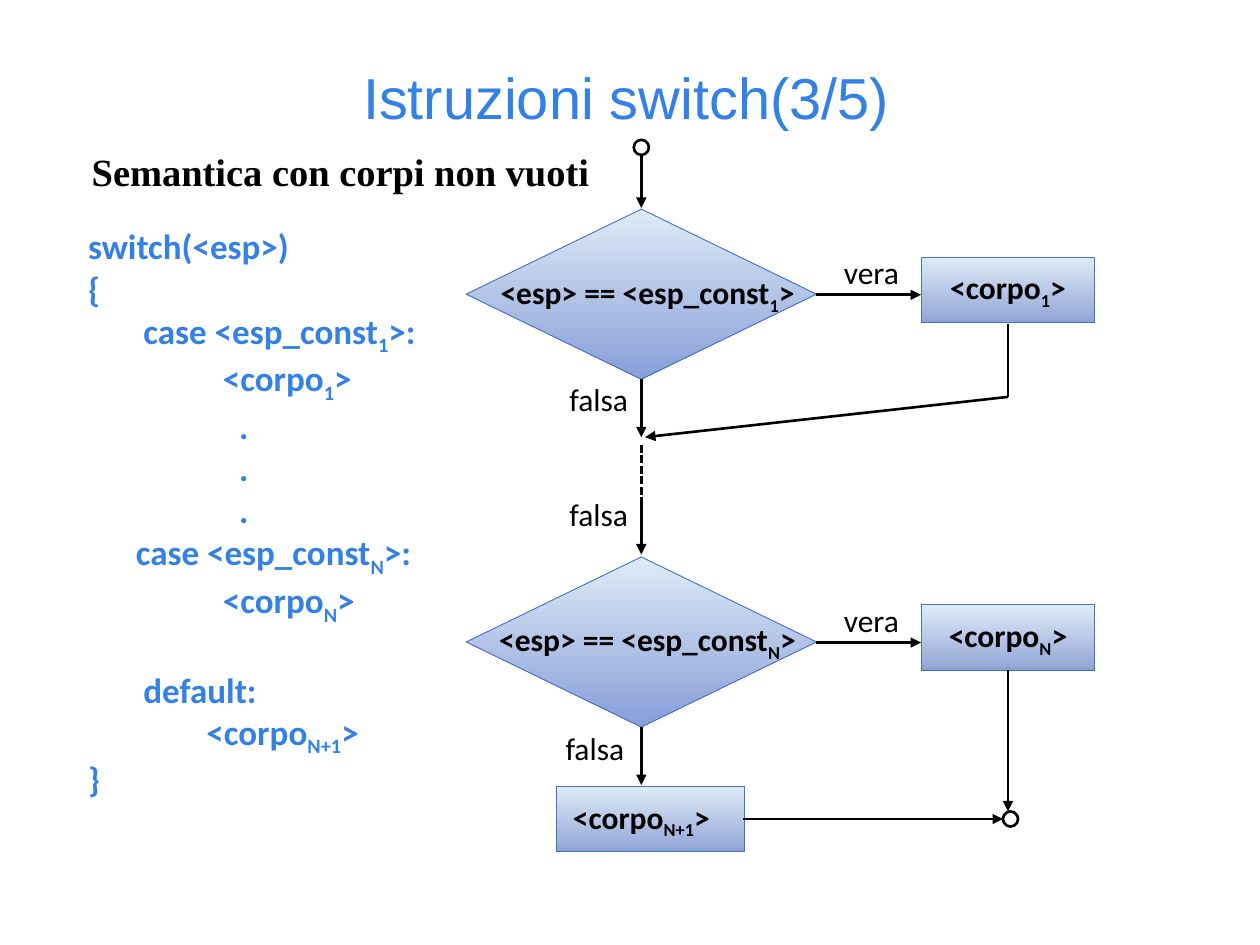
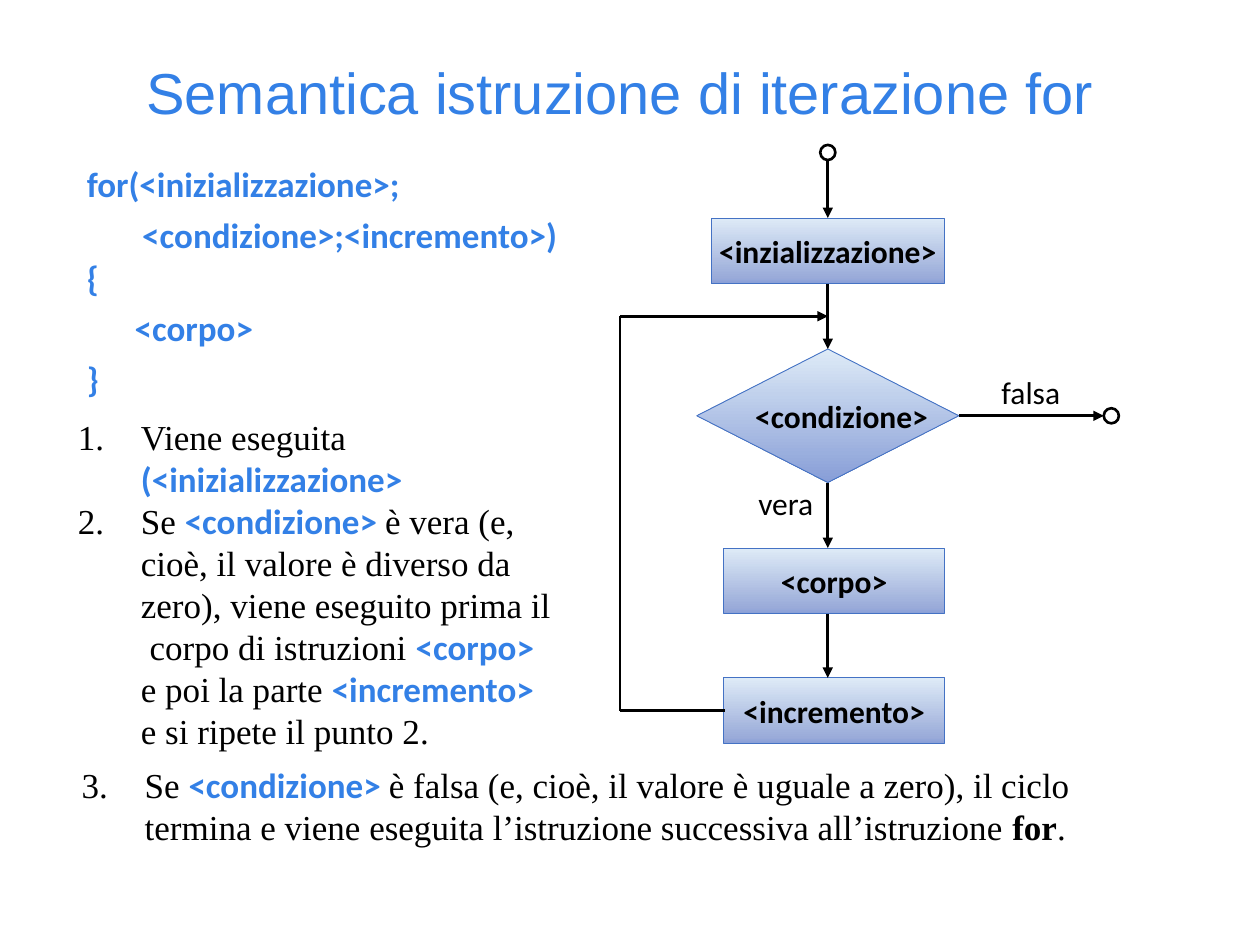
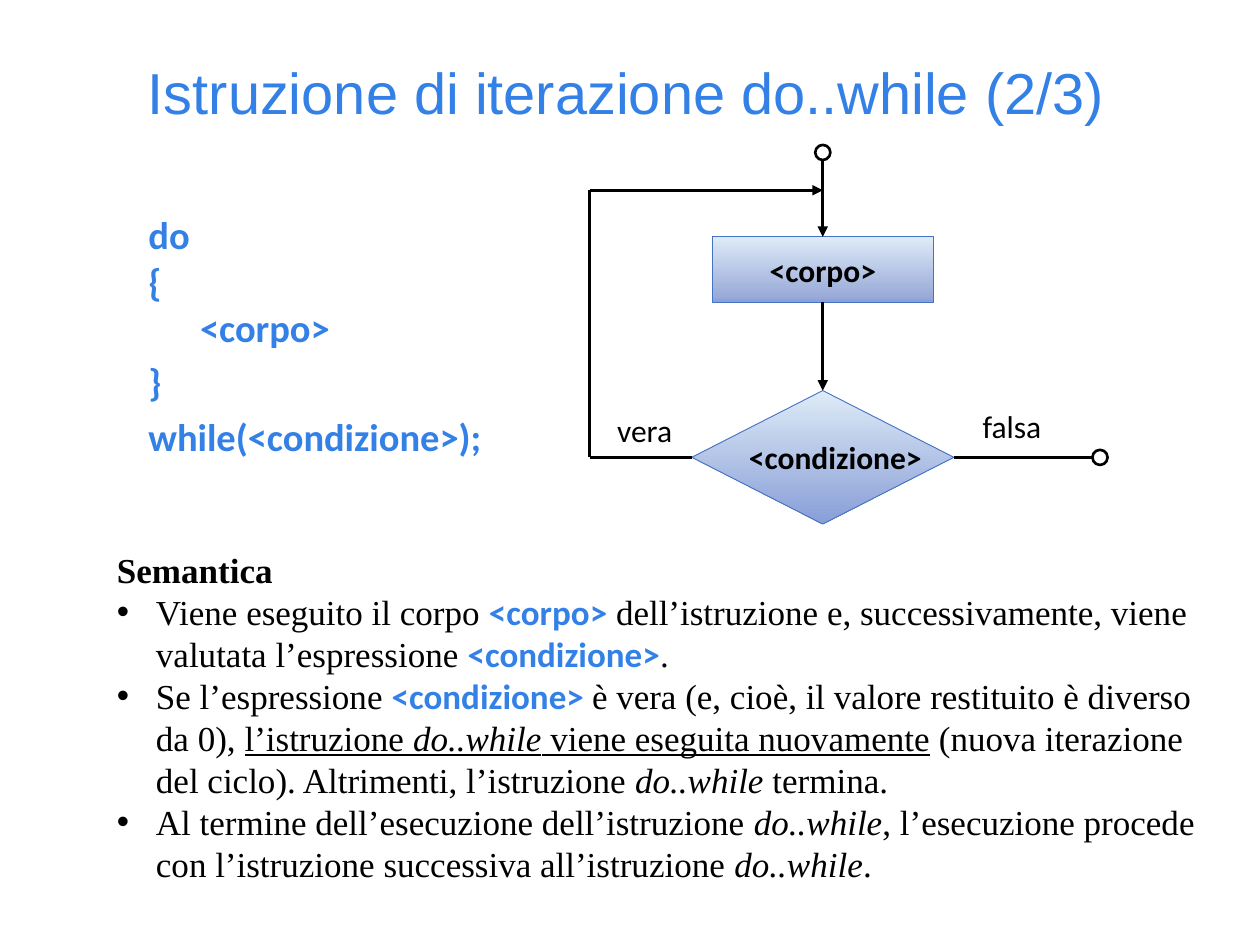
from copy import deepcopy
from itertools import pairwise

from lxml.etree import SubElement
from pptx import Presentation
from pptx.dml.color import RGBColor
from pptx.enum.dml import MSO_LINE
from pptx.enum.shapes import MSO_CONNECTOR, MSO_SHAPE
from pptx.enum.text import MSO_ANCHOR, MSO_AUTO_SIZE, PP_ALIGN
from pptx.oxml.ns import qn
from pptx.util import Inches, Pt

BLACK, BLUE, OUTLINE = "000000", "3380E6", "4472C4"
DECISION_STOPS = [(0, "DEEBF7"), (1, "889ED7")]
PROCESS_STOPS = [(0, "DEEBF7"), (0.91, "9AABD9"), (1, "889ED7")]
TITLE_FONT, CODE_FONT, BODY_FONT = "Arial", "Calibri", "Times New Roman"
CODE = dict(font=CODE_FONT, color=BLUE, bold=True)
LABEL = dict(font=CODE_FONT, size=18)
SPACED = dict(line_spacing=0.9, before=7.5)
LINE_WIDTH, CIRCLE_SIZE = 1.5, 0.12
PROCESS_HEIGHT = 0.52


def color_of(hex_text):
    """Turn a hex string into a colour."""
    return RGBColor.from_string(hex_text)


def code(text):
    """Return a run set as program code."""
    return text, CODE


def sub(text):
    """Return a subscript run."""
    return text, dict(subscript=True)


def italic(text, **extra):
    """Return an italic run."""
    return text, dict(italic=True, **extra)


def line(*runs, **layout):
    """Return one paragraph: its runs and its paragraph layout."""
    return runs, layout


def add_run(paragraph, text, font=BODY_FONT, size=20, color=BLACK, bold=False,
            italic=False, underline=False, subscript=False):
    """Add formatted text to a paragraph."""
    run = paragraph.add_run()
    run.text = text
    run.font.name = font
    run.font.size = Pt(size)
    run.font.color.rgb = color_of(color)
    run.font.bold = bold
    run.font.italic = italic
    run.font.underline = underline
    if subscript:
        run.font._element.set("baseline", "-25000")


def set_layout(paragraph, indent=0, before=0, line_spacing=1.0, bullet=None,
               number=None, align=PP_ALIGN.LEFT):
    """Set alignment, spacing, indent and bullet; a hanging indent goes with a bullet."""
    paragraph.alignment = align
    paragraph.space_before = Pt(before)
    paragraph.line_spacing = line_spacing
    properties = paragraph._p.get_or_add_pPr()
    hanging = -indent if bullet or number else 0
    properties.set("marL", str(Inches(indent)))
    properties.set("indent", str(Inches(hanging)))
    if bullet:
        SubElement(properties, qn("a:buFont"), typeface="Arial")
        SubElement(properties, qn("a:buChar"), char=bullet)
    elif number:
        SubElement(properties, qn("a:buAutoNum"), type="arabicPeriod",
                   startAt=str(number))


def fill_text(frame, lines, **text_format):
    """Write the lines into a text frame."""
    for index, (runs, layout) in enumerate(lines):
        paragraph = frame.add_paragraph() if index else frame.paragraphs[0]
        set_layout(paragraph, **layout)
        for run in runs:
            text, extra = (run, {}) if isinstance(run, str) else run
            add_run(paragraph, text, **{**text_format, **extra})


class Deck:
    """Holds the presentation, the current slide and the flow chart style."""

    def __init__(self):
        """Start an empty 4:3 presentation."""
        self.presentation = Presentation()
        self.presentation.slide_width = Inches(10)
        self.presentation.slide_height = Inches(7.5)
        self.slide = None

    def add_slide(self, title, left=0.17, top=0.42):
        """Start a title-only slide."""
        self.slide = self.presentation.slides.add_slide(
            self.presentation.slide_layouts[5])
        shape = self.slide.shapes.title
        shape.left, shape.top = Inches(left), Inches(top)
        shape.width, shape.height = Inches(9.5), Inches(0.68)
        frame = shape.text_frame
        frame.auto_size = MSO_AUTO_SIZE.NONE
        frame.vertical_anchor = MSO_ANCHOR.MIDDLE
        fill_text(frame, [line(title, align=PP_ALIGN.CENTER, line_spacing=0.9)],
                  font=TITLE_FONT, size=33, color=BLUE)

    def text(self, left, top, width, height, lines, **text_format):
        """Add a wrapping text box."""
        box = self.slide.shapes.add_textbox(
            Inches(left), Inches(top), Inches(width), Inches(height))
        box.text_frame.word_wrap = True
        fill_text(box.text_frame, lines, **text_format)

    def label(self, left, top, text):
        """Add the name of a branch."""
        self.text(left, top, 0.96, 0.4, [line(text)], **LABEL)

    def _shape(self, kind, left, top, width, height, outline, weight):
        """Add an outlined preset shape without shadow."""
        shape = self.slide.shapes.add_shape(
            kind, Inches(left), Inches(top), Inches(width), Inches(height))
        shape.shadow.inherit = False
        shape.line.color.rgb = color_of(outline)
        shape.line.width = Pt(weight)
        return shape

    def _node(self, kind, stops, center, top, width, height, runs, shift):
        """Add a gradient shape with its label, moved right by shift."""
        shape = self._shape(kind, center - width / 2, top, width, height, OUTLINE, 0.5)
        shape.fill.gradient()
        shape.fill.gradient_angle = 270
        stop_list = shape._element.spPr.find(".//" + qn("a:gsLst"))
        for _ in stops[2:]:
            stop_list.append(deepcopy(stop_list[-1]))
        for stop, (position, color) in zip(shape.fill.gradient_stops, stops):
            stop.position = position
            stop.color.rgb = color_of(color)
        frame = shape.text_frame
        frame.word_wrap = False
        frame.vertical_anchor = MSO_ANCHOR.MIDDLE
        frame.margin_left = Inches(max(0, 2 * shift))
        frame.margin_right = Inches(max(0, -2 * shift))
        frame.margin_top = frame.margin_bottom = 0
        fill_text(frame, [line(*runs, align=PP_ALIGN.CENTER)], bold=True, **LABEL)

    def process(self, center, top, width, *runs, shift=0):
        """Add a process box."""
        self._node(MSO_SHAPE.FLOWCHART_PROCESS, PROCESS_STOPS, center, top,
                   width, PROCESS_HEIGHT, runs, shift)

    def decision(self, center, top, width, height, *runs, shift=0):
        """Add a decision diamond."""
        self._node(MSO_SHAPE.FLOWCHART_DECISION, DECISION_STOPS, center, top,
                   width, height, runs, shift)

    def terminal(self, center, middle):
        """Add the small circle that starts or ends a flow."""
        half = CIRCLE_SIZE / 2
        circle = self._shape(MSO_SHAPE.FLOWCHART_CONNECTOR, center - half,
                             middle - half, CIRCLE_SIZE, CIRCLE_SIZE, BLACK, LINE_WIDTH)
        circle.fill.background()

    def flow(self, *points, arrow=True, dashed=False):
        """Join the points with lines, with an arrowhead at the last one."""
        for start, end in pairwise(points):
            connector = self.slide.shapes.add_connector(
                MSO_CONNECTOR.STRAIGHT, *map(Inches, start + end))
            connector.line.color.rgb = color_of(BLACK)
            connector.line.width = Pt(LINE_WIDTH)
            if dashed:
                connector.line.dash_style = MSO_LINE.SQUARE_DOT
            if arrow and end == points[-1]:
                SubElement(connector.line._get_or_add_ln(), qn("a:tailEnd"),
                           type="triangle")
            SubElement(connector._element.spPr, qn("a:effectLst"))


def build_switch(deck):
    """Slide 1: the switch statement."""
    deck.add_slide("Istruzioni switch(3/5)", left=0.22, top=0.46)
    deck.text(0.63, 1.17, 4.2, 0.44,
              [line("Semantica con corpi non vuoti", line_spacing=0.9)],
              size=22, bold=True)
    dots = [line(".", indent=1.2) for _ in range(3)]
    deck.text(0.6, 1.77, 3.08, 4.7, [
        line("switch(<esp>)", line_spacing=0.9),
        line("{"),
        line("case <esp_const", sub("1"), ">:", indent=0.44),
        line("<corpo", sub("1"), ">", indent=1.07),
        *dots,
        line("case <esp_const", sub("N"), ">:", indent=0.38),
        line("<corpo", sub("N"), ">", indent=1.07),
        line("default:", indent=0.44, before=24),
        line("<corpo", sub("N+1"), ">", indent=0.94),
        line("}"),
    ], **CODE)

    axis, right = 5.09, 8.0
    deck.terminal(axis, 1.17)
    deck.flow((axis, 1.23), (axis, 1.65))
    for top, name in ((1.66, "1"), (4.42, "N")):
        middle = top + 0.68
        deck.decision(axis, top, 2.78, 1.35, "<esp> == <esp_const", sub(name), ">",
                      shift=0.05)
        deck.flow((axis + 1.39, middle), (right - 0.69, middle))
        deck.label(6.6, top + 0.3, "vera")
        deck.process(right, top + 0.38, 1.38, "<corpo", sub(name), ">")
        deck.flow((axis, top + 1.35), (axis, top + 1.81))
    deck.flow((right, 2.57), (right, 3.15), (5.12, 3.47))
    deck.flow((axis, 3.53), (axis, 3.95), arrow=False, dashed=True)
    deck.flow((axis, 3.95), (axis, 4.4))
    for left, top in ((4.42, 2.97), (4.42, 3.88), (4.39, 5.74)):
        deck.label(left, top, "falsa")
    deck.process(5.16, 6.24, 1.49, "<corpo", sub("N+1"), ">", shift=-0.07)
    deck.flow((5.9, 6.5), (7.96, 6.5))
    deck.flow((right, 5.32), (right, 6.44))
    deck.terminal(8.02, 6.5)


def build_for(deck):
    """Slide 2: the for statement."""
    deck.add_slide("Semantica istruzione di iterazione for")
    deck.text(0.59, 1.28, 4.38, 2, [
        line("for(<inizializzazione>;", line_spacing=0.9),
        line("<condizione>;<incremento>)", indent=0.44, **SPACED),
        line("{"),
        line("<corpo>", indent=0.38, **SPACED),
        line("}", **SPACED),
    ], **CODE)
    deck.text(0.52, 3.25, 3.98, 2.8, [
        line("Viene eseguita ", code("(<inizializzazione>"), indent=0.5, number=1),
        line("Se ", code("<condizione> "),
             "è vera (e, cioè, il valore è diverso da zero), viene eseguito prima il "
             " corpo di istruzioni ", code("<corpo>"), " e poi la parte ",
             code("<incremento>"), " e si ripete il punto 2.", indent=0.5, number=1),
    ])
    deck.text(0.55, 6.01, 8.77, 0.8, [
        line("Se ", code("<condizione> "),
             "è falsa (e, cioè, il valore è uguale a zero), il ciclo termina e viene "
             "eseguita l’istruzione successiva all’istruzione ",
             ("for", dict(bold=True)), ".", indent=0.5, number=3),
    ])

    axis, body_center, loop = 6.57, 6.62, 4.92
    deck.terminal(axis, 1.21)
    deck.process(axis, 1.73, 1.85, "<inzializzazione>")
    deck.decision(axis, 2.77, 2.08, 1.06, "<condizione>", shift=0.11)
    deck.process(body_center, 4.35, 1.75, "<corpo>")
    deck.process(body_center, 5.38, 1.75, "<incremento>")
    for start, end in ((1.27, 1.73), (2.25, 2.77), (3.83, 4.35), (4.87, 5.38)):
        deck.flow((axis, start), (axis, end))
    deck.flow((5.75, 5.64), (loop, 5.64), (loop, 2.51), (axis, 2.51))
    deck.flow((7.61, 3.3), (8.76, 3.3))
    deck.terminal(8.82, 3.3)
    deck.label(7.85, 2.91, "falsa")
    deck.label(5.92, 3.79, "vera")


def build_do_while(deck):
    """Slide 3: the do..while statement."""
    deck.add_slide("Istruzione di iterazione do..while (2/3)", left=0.22)
    deck.text(1.08, 1.67, 2.87, 2.1, [
        line("do", line_spacing=0.9),
        line("{"),
        line("<corpo>", indent=0.41),
        line("}", **SPACED),
        line("while(<condizione>);", **SPACED),
    ], size=22, **CODE)
    item = dict(indent=0.31, bullet="•")
    underlined = dict(underline=True)
    deck.text(0.83, 4.3, 8.77, 2.79, [
        line(("Semantica", dict(bold=True))),
        line("Viene eseguito il corpo ", code("<corpo>"),
             " dell’istruzione e, successivamente, viene valutata l’espressione ",
             code("<condizione>"), ".", **item),
        line("Se l’espressione ", code("<condizione> "),
             "è vera (e, cioè, il valore restituito è diverso da 0), ",
             ("l’istruzione ", underlined), italic("do..while", **underlined),
             (" viene eseguita nuovamente", underlined),
             " (nuova iterazione del ciclo). Altrimenti, l’istruzione ",
             italic("do..while"), " termina.", **item),
        line("Al termine dell’esecuzione dell’istruzione ", italic("do..while"),
             ", l’esecuzione procede con l’istruzione successiva all’istruzione ",
             italic("do..while"), ".", **item),
    ])

    axis, loop, middle = 6.53, 4.68, 3.63
    deck.terminal(axis, 1.21)
    deck.process(axis, 1.88, 1.75, "<corpo>")
    deck.decision(axis, 3.1, 2.08, 1.06, "<condizione>", shift=0.1)
    deck.flow((axis, 1.27), (axis, 1.88))
    deck.flow((axis, 2.4), (axis, 3.1))
    deck.flow((5.49, middle), (loop, middle), (loop, 1.51), (axis, 1.51))
    deck.flow((7.57, middle), (8.67, middle), arrow=False)
    deck.terminal(8.73, middle)
    deck.label(7.7, 3.18, "falsa")
    deck.label(4.8, 3.21, "vera")


deck = Deck()
build_switch(deck)
build_for(deck)
build_do_while(deck)
deck.presentation.save("out.pptx")
